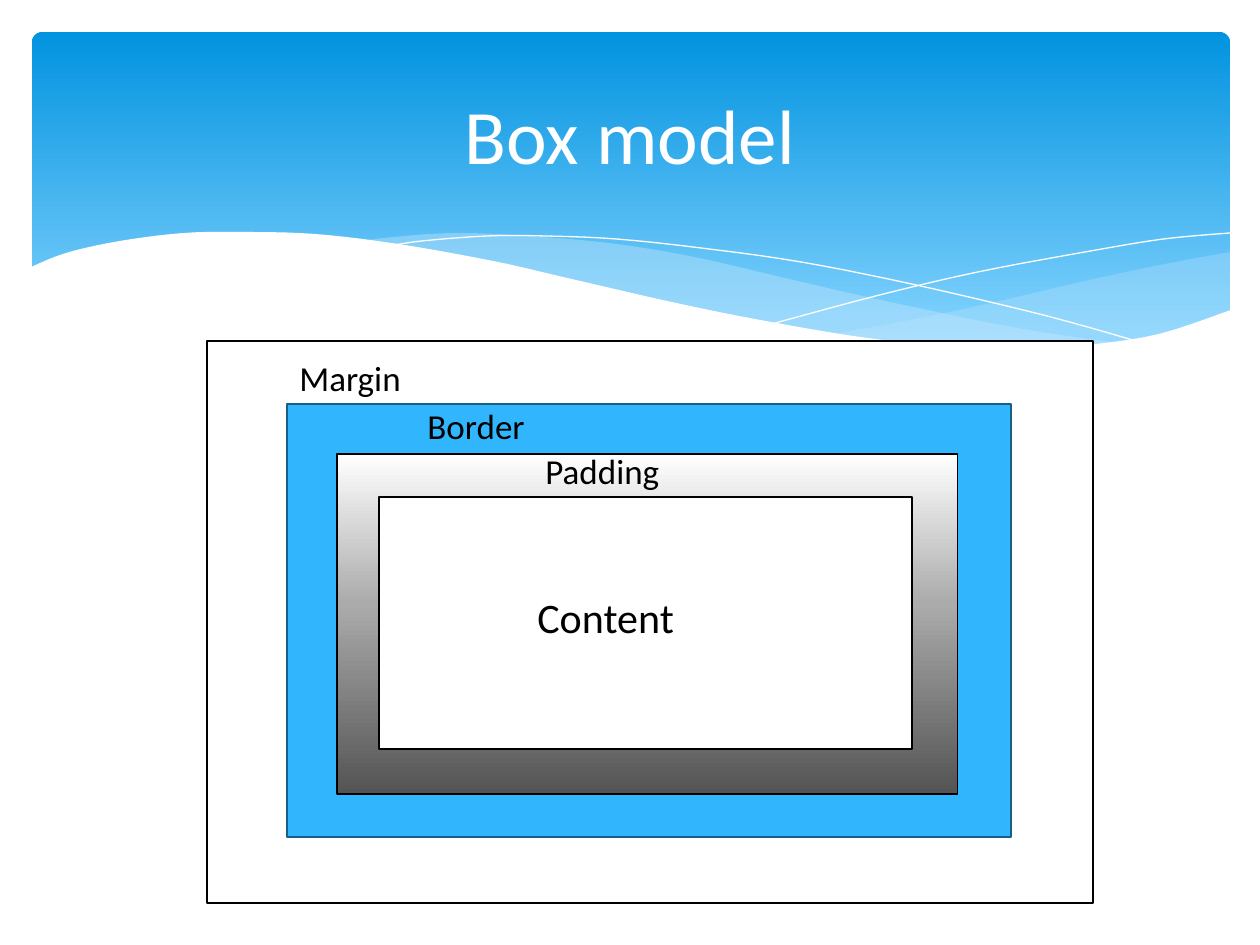
from lxml.etree import SubElement
from pptx import Presentation
from pptx.dml.color import RGBColor
from pptx.enum.shapes import MSO_SHAPE as Shape
from pptx.enum.text import MSO_ANCHOR as Anchor, PP_ALIGN as Align
from pptx.oxml.ns import qn
from pptx.util import Emu, Pt

PX = 914400 // 126
STEPS = 5  # segments between two points of a curve
FONT = "Calibri"
WHITE, BLACK = "FFFFFF", "000000"

# Banner: colour stops as (percent, colour)
BANNER = (32, 32, 1198, 340)
BANNER_STOPS = [(0, "0293E0"), (90, "83D3FE")]

# Waves: (arcs of points, fill, opacity in percent)
RIGHT_WAVE = [
    [(1230, 252), (1160, 265), (1085, 281), (982, 305), (890, 324), (833, 334)],
    [(833, 334), (906, 343), (969, 349), (1026, 350), (1087, 347), (1150, 336),
     (1196, 324), (1230, 311)],
]
MIDDLE_WAVE = [
    [(1125, 344), (1017, 328), (890, 302), (793, 280), (699, 258), (616, 244),
     (529, 236), (455, 233), (394, 237), (360, 241)],
    [(360, 241), (431, 251), (509, 266), (566, 280), (668, 302), (757, 321),
     (857, 338), (942, 348), (1031, 350), (1080, 349), (1125, 344)],
]
FRONT_WAVE = [
    [(29, 268), (66, 253), (120, 241), (184, 233), (243, 232), (315, 234),
     (398, 244), (493, 261), (563, 277), (667, 301), (760, 320), (867, 338),
     (959, 347), (1019, 349), (1087, 345), (1159, 334), (1231, 310)],
    [(1231, 415), (29, 415)],
]
FALLING_LINE = [[(389, 246), (422, 241), (487, 236), (545, 236), (616, 239),
                 (701, 248), (801, 262), (916, 285), (1047, 316), (1143, 343)]]
RISING_LINE = [[(772, 324), (876, 296), (978, 272), (1091, 251), (1164, 239),
                (1230, 233)]]

# Nested boxes: (place, fill or colour stops, line colour, line width)
GREY_STOPS = [(0, WHITE), (44, "ABABAB"), (100, "545454")]
BOXES = [
    ((207, 341, 886, 562), WHITE, BLACK, 1.25),
    ((287, 404, 724, 433), "31B6FD", "195F84", 1.25),
    ((337, 454, 621, 340), GREY_STOPS, BLACK, 0.75),
    ((379, 497, 533, 252), WHITE, BLACK, 1.25),
]

# Labels: (text, left, top, height, size)
LABEL_WIDTH = 543
LABELS = [
    ("Margin", 287, 350, 55, 20),
    ("Border", 415, 398, 55, 20),
    ("Padding", 533, 443, 55, 20),
    ("Content", 525, 585, 63, 24),
]


def color(value):
    return RGBColor.from_string(value)


def px(*lengths):
    return [Emu(round(length * PX)) for length in lengths]


def paint(shape, fill=None, line=None, width=0, opacity=100):
    shape.shadow.inherit = False
    if isinstance(fill, list):
        shape.fill.gradient()
        shape.fill.gradient_angle = 270  # top to bottom
        stops = shape.fill._fill._gradFill.find(qn("a:gsLst"))
        for stop in list(stops):
            stops.remove(stop)
        for percent, value in fill:
            stop = SubElement(stops, qn("a:gs"), pos=str(percent * 1000))
            SubElement(stop, qn("a:srgbClr"), val=value)
    elif fill:
        shape.fill.solid()
        shape.fill.fore_color.rgb = color(fill)
        if opacity < 100:
            tint = shape.fill._xPr.find(qn("a:solidFill"))[0]
            SubElement(tint, qn("a:alpha"), val=str(opacity * 1000))
    else:
        shape.fill.background()
    if line:
        shape.line.color.rgb = color(line)
        shape.line.width = Pt(width)
    else:
        shape.line.fill.background()


def smooth(points):
    """Catmull-Rom curve through the points."""
    if len(points) < 3:
        return points
    padded = [points[0], *points, points[-1]]
    curve = [points[0]]
    for a, b, c, d in zip(padded, padded[1:], padded[2:], padded[3:]):
        for step in range(1, STEPS + 1):
            t = step / STEPS
            curve.append(tuple(
                (2 * q + (r - p) * t + (2 * p - 5 * q + 4 * r - s) * t ** 2
                 + (3 * q - p - 3 * r + s) * t ** 3) / 2
                for p, q, r, s in zip(a, b, c, d)))
    return curve


def add_wave(shapes, arcs, closed=True, **look):
    start, *rest = [px(*point) for arc in arcs for point in smooth(arc)]
    builder = shapes.build_freeform(*start, scale=1.0)
    builder.add_line_segments(rest, close=closed)
    paint(builder.convert_to_shape(), **look)


def add_text(shapes, text, place, size, ink, align=Align.LEFT, anchor=Anchor.TOP):
    frame = shapes.add_textbox(*px(*place)).text_frame
    frame.word_wrap = True
    frame.vertical_anchor = anchor
    para = frame.paragraphs[0]
    para.alignment = align
    span = para.add_run()
    span.text = text
    span.font.name, span.font.size = FONT, Pt(size)
    span.font.color.rgb = color(ink)


def main():
    deck = Presentation()
    deck.slide_width, deck.slide_height = px(1260, 945)
    shapes = deck.slides.add_slide(deck.slide_layouts[6]).shapes

    # Banner with waves
    banner = shapes.add_shape(Shape.ROUNDED_RECTANGLE, *px(*BANNER))
    banner.adjustments[0] = 0.03
    paint(banner, BANNER_STOPS)
    add_wave(shapes, RIGHT_WAVE, fill="C6E7FC", opacity=29)
    add_wave(shapes, MIDDLE_WAVE, fill="C6E7FC", opacity=40)
    for arcs in (FALLING_LINE, RISING_LINE):
        add_wave(shapes, arcs, closed=False, line=WHITE)
    add_wave(shapes, FRONT_WAVE, fill=WHITE)

    # Title
    add_text(shapes, "Box model", (63, 47, 1134, 173), 44, WHITE,
             Align.CENTER, Anchor.MIDDLE)

    # Box model
    for place, fill, line, width in BOXES:
        paint(shapes.add_shape(Shape.RECTANGLE, *px(*place)), fill, line, width)
    for text, left, top, height, size in LABELS:
        add_text(shapes, text, (left, top, LABEL_WIDTH, height), size, BLACK)

    deck.save("out.pptx")


if __name__ == "__main__":
    main()
